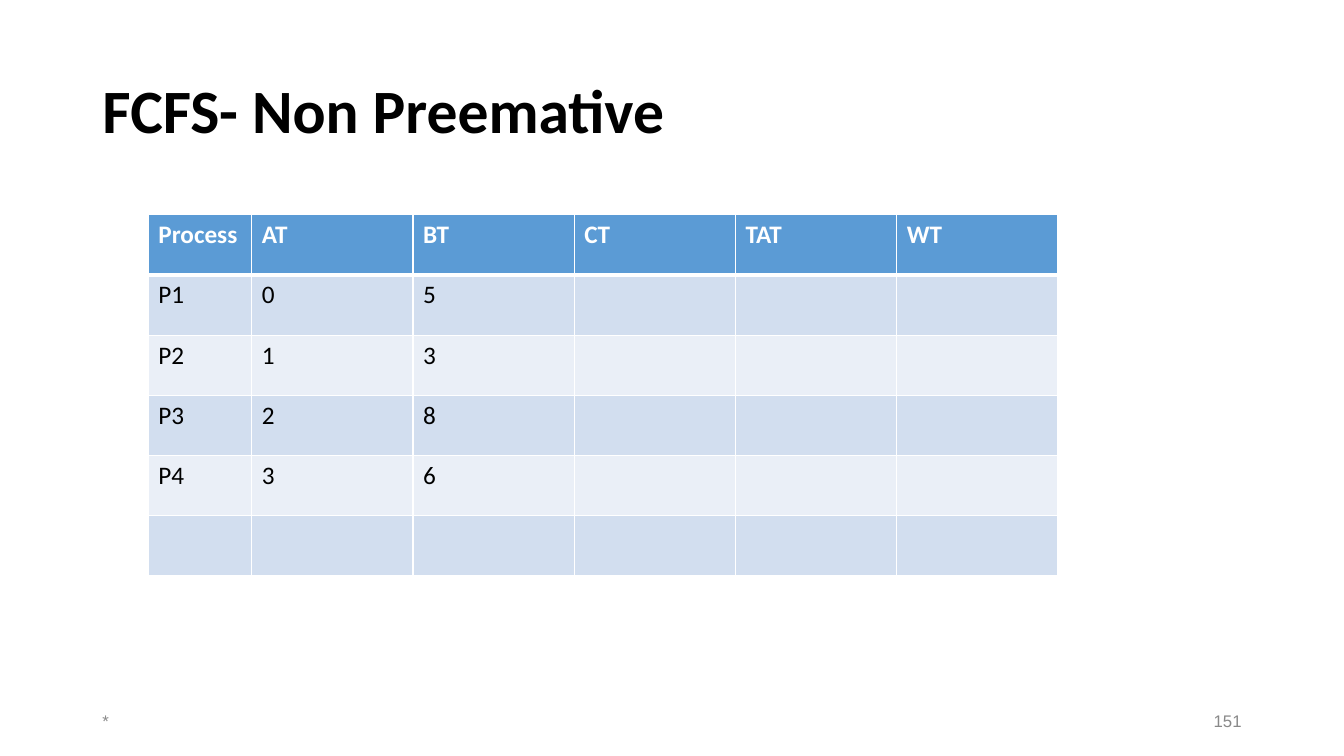
from dataclasses import dataclass

from lxml import etree
from pptx import Presentation
from pptx.dml.color import RGBColor
from pptx.enum.text import MSO_ANCHOR, PP_ALIGN
from pptx.oxml.ns import qn
from pptx.util import Pt


@dataclass(frozen=True)
class Theme:
    body_font: str = "Calibri"
    footer_font: str = "Arial"
    black: str = "000000"
    white: str = "FFFFFF"
    gray: str = "898989"
    header_fill: str = "5B9BD5"
    odd_fill: str = "D2DEEF"
    even_fill: str = "EAEFF7"
    title_size: int = 44
    table_size: int = 18
    footer_size: int = 12


theme = Theme()


def style(paragraph, name, size, color, bold=False):
    font = paragraph.font
    font.name, font.size, font.bold = name, Pt(size), bold
    font.color.rgb = RGBColor.from_string(color)


def add_border(cell, side, width):
    """Draw one white edge; side is L, R, T or B, added in that order."""
    line = etree.SubElement(cell._tc.get_or_add_tcPr(), qn(f"a:ln{side}"), w=str(Pt(width)))
    fill = etree.SubElement(line, qn("a:solidFill"))
    etree.SubElement(fill, qn("a:srgbClr"), val=theme.white)


prs = Presentation()
prs.slide_width, prs.slide_height = Pt(960), Pt(540)
slide = prs.slides.add_slide(prs.slide_layouts[5])

# Title
title = slide.shapes.title
title.left, title.top, title.width, title.height = Pt(66), Pt(28.75), Pt(828), Pt(104.4)
title.text_frame.text = "FCFS- Non Preemative"
title.text_frame.vertical_anchor = MSO_ANCHOR.MIDDLE
heading = title.text_frame.paragraphs[0]
heading.alignment = PP_ALIGN.LEFT
heading.line_spacing = 0.9
style(heading, theme.body_font, theme.title_size, theme.black, bold=True)

# Process table
processes = [
    ("Process", "AT", "BT", "CT", "TAT", "WT"),
    ("P1", "0", "5", "", "", ""),
    ("P2", "1", "3", "", "", ""),
    ("P3", "2", "8", "", "", ""),
    ("P4", "3", "6", "", "", ""),
    ("", "", "", "", "", ""),
]
column_widths = [73.8] + [115.2] * 5
row_height = 43
schedule = slide.shapes.add_table(
    len(processes), len(column_widths), Pt(106), Pt(153.4),
    Pt(sum(column_widths)), Pt(row_height * len(processes)),
).table
for column, width in zip(schedule.columns, column_widths):
    column.width = Pt(width)

for r, process in enumerate(processes):
    schedule.rows[r].height = Pt(row_height)
    is_header = r == 0
    band = theme.header_fill if is_header else theme.odd_fill if r % 2 else theme.even_fill
    text_color = theme.white if is_header else theme.black
    for c, value in enumerate(process):
        cell = schedule.cell(r, c)
        cell.text = value
        style(cell.text_frame.paragraphs[0], theme.body_font, theme.table_size, text_color, is_header)
        for side in "LRTB":
            under_header = (r, side) in ((0, "B"), (1, "T"))
            add_border(cell, side, 3 if under_header else 1)
        cell.fill.solid()
        cell.fill.fore_color.rgb = RGBColor.from_string(band)

# Footer
for text, left, alignment in (("*", 66, PP_ALIGN.LEFT), ("151", 678, PP_ALIGN.RIGHT)):
    footer = slide.shapes.add_textbox(Pt(left), Pt(500.5), Pt(216), Pt(28.75)).text_frame
    footer.word_wrap = True
    footer.vertical_anchor = MSO_ANCHOR.MIDDLE
    footer.text = text
    footer.paragraphs[0].alignment = alignment
    style(footer.paragraphs[0], theme.footer_font, theme.footer_size, theme.gray)

prs.save("out.pptx")
